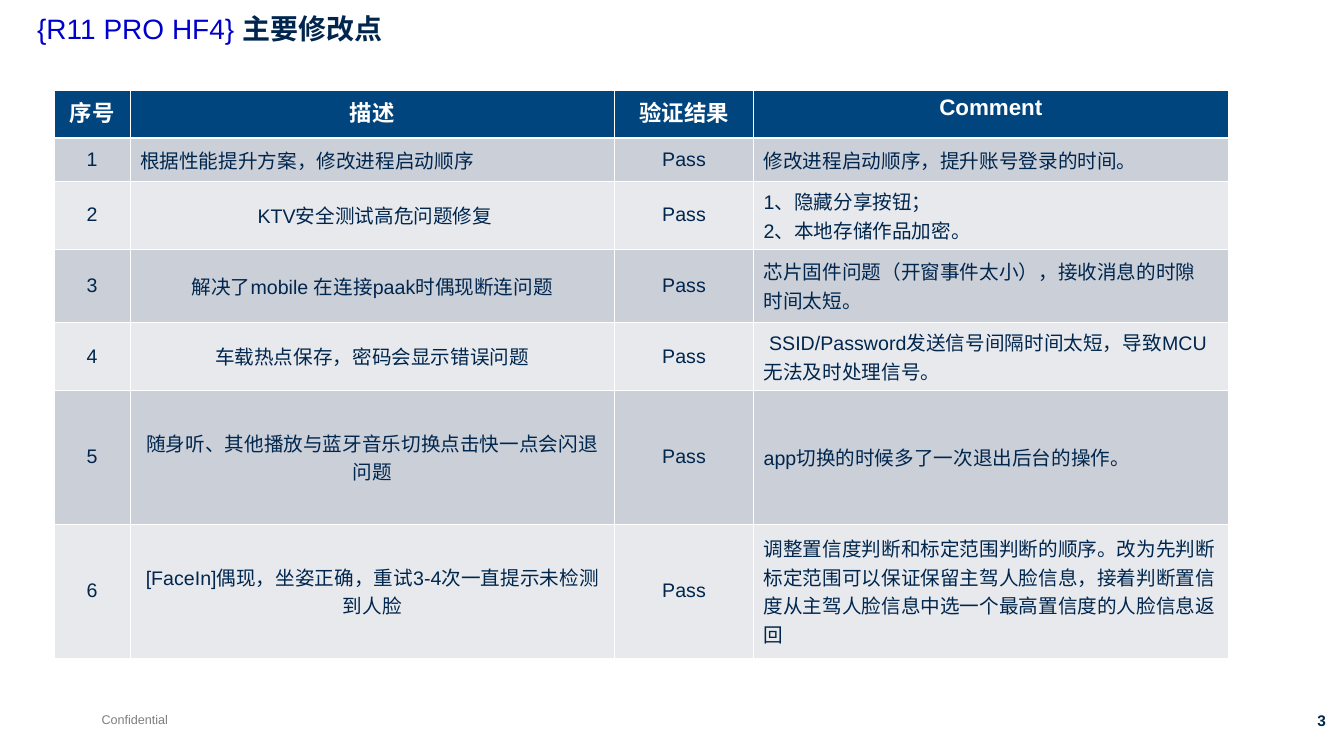
from pptx import Presentation
from pptx.dml.color import RGBColor
from pptx.enum.text import MSO_ANCHOR, PP_ALIGN
from pptx.oxml.ns import qn
from pptx.util import Emu, Pt
from lxml import etree

LEFT, MID, RIGHT = PP_ALIGN.LEFT, PP_ALIGN.CENTER, PP_ALIGN.RIGHT
TOP, CENTER = MSO_ANCHOR.TOP, MSO_ANCHOR.MIDDLE
PX = 9144  # 100 px to the inch
FONT = "Arial"
NAVY, BLUE, WHITE, GREY = "00264E", "0000CC", "FFFFFF", "7F7F7F"
HEAD, BANDS = "00457E", ("CBCFD8", "E7E9EC")
THIN, THICK = 0.45, 1.47

COLS = (75, 481, 138, 471)
HIGHS = (47, 43, 67, 73, 67, 133, 133)
TITLES = ("序号", "描述", "验证结果", "Comment")
FIXES = (
    ("根据性能提升方案，修改进程启动顺序",
     "修改进程启动顺序，提升账号登录的时间。"),
    (" KTV安全测试高危问题修复",
     "1、隐藏分享按钮；\n2、本地存储作品加密。"),
    ("解决了mobile 在连接paak时偶现断连问题",
     "芯片固件问题（开窗事件太小），接收消息的时隙 时间太短。"),
    ("车载热点保存，密码会显示错误问题",
     " SSID/Password发送信号间隔时间太短，导致MCU无法及时处理信号。"),
    ("随身听、其他播放与蓝牙音乐切换点击快一点会闪退问题",
     "app切换的时候多了一次退出后台的操作。"),
    ("[FaceIn]偶现，坐姿正确，重试3-4次一直提示未检测到人脸",
     "调整置信度判断和标定范围判断的顺序。改为先判断标定范围可以保证保留主驾人脸信息，"
     "接着判断置信度从主驾人脸信息中选一个最高置信度的人脸信息返回"),
)


def px(n):
    return Emu(n * PX)


def color(code):
    return RGBColor.from_string(code)


def add_run(para, text, size, code, bold=False):
    run = para.add_run()
    run.text = text
    font = run.font
    font.name, font.size, font.bold = FONT, Pt(size), bold
    font.color.rgb = color(code)


def add_label(slide, box, runs, align=LEFT, wrap=True, space=1.0):
    frame = slide.shapes.add_textbox(*map(px, box)).text_frame
    frame.word_wrap = wrap
    frame.vertical_anchor = TOP
    para = frame.paragraphs[0]
    para.alignment, para.line_spacing = align, space
    for run in runs:
        add_run(para, *run)


def add_edges(cell, top, base):
    props = cell._tc.get_or_add_tcPr()
    for side, width in (("L", THIN), ("R", THIN), ("T", top), ("B", base)):
        line = etree.SubElement(props, qn("a:ln" + side), w=str(int(Pt(width))))
        fill = etree.SubElement(line, qn("a:solidFill"))
        etree.SubElement(fill, qn("a:srgbClr"), val=WHITE)


def fill_cell(cell, text, row, align):
    head = row == 0
    add_edges(cell, THICK if row == 1 else THIN, THICK if head else THIN)
    cell.fill.solid()
    cell.fill.fore_color.rgb = color(HEAD if head else BANDS[(row - 1) % 2])
    cell.vertical_anchor = TOP if head else CENTER
    frame = cell.text_frame
    for i, line in enumerate(text.split("\n")):
        para = frame.add_paragraph() if i else frame.paragraphs[0]
        para.alignment = align
        add_run(para, line, 16 if head else 14, WHITE if head else NAVY, head)


def add_fixes(slide, left, top):
    rows = [TITLES] + [(str(i), what, "Pass", note)
                       for i, (what, note) in enumerate(FIXES, 1)]
    table = slide.shapes.add_table(
        len(rows), len(COLS), px(left), px(top),
        px(sum(COLS)), px(sum(HIGHS))).table
    for col, wide in zip(table.columns, COLS):
        col.width = px(wide)
    for r, (texts, high) in enumerate(zip(rows, HIGHS)):
        table.rows[r].height = px(high)
        for c, text in enumerate(texts):
            flush = r > 0 and (c == 3 or (r, c) == (1, 1))
            fill_cell(table.cell(r, c), text, r, LEFT if flush else MID)


def add_footer(slide, top):
    add_label(slide, (91, top, 86, 25), [("Confidential", 9, GREY)], wrap=False)
    add_label(slide, (1232, top, 94, 29), [("3", 11, NAVY, True)], RIGHT, False)


def main():
    deck = Presentation()
    deck.slide_width, deck.slide_height = px(1334), px(750)
    slide = deck.slides.add_slide(deck.slide_layouts[6])
    add_footer(slide, 701)
    add_label(slide, (27, 10, 1185, 63),
              [("{R11 PRO HF4} ", 20, BLUE), ("主要修改点", 20, NAVY, True)],
              space=0.9)
    add_fixes(slide, 54, 90)
    deck.save("out.pptx")


if __name__ == "__main__":
    main()
